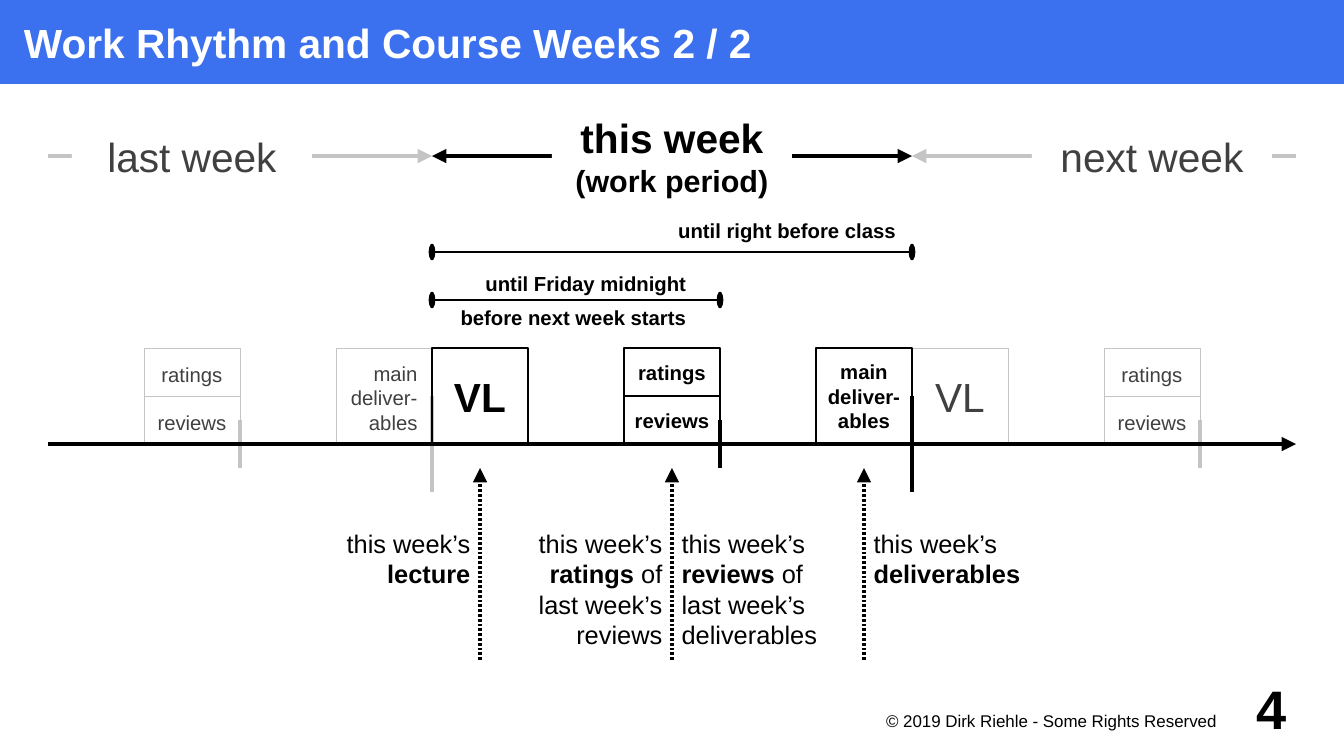
import dataclasses
import typing

import lxml.etree
import pptx
import pptx.dml.color
import pptx.enum.shapes
import pptx.enum.text
import pptx.oxml.ns
import pptx.util

Cm = pptx.util.Cm
Pt = pptx.util.Pt
COLORS = {"black": "000000", "gray": "C4C4C4", "text": "404040",
          "white": "FFFFFF", "blue": "3B70EE"}
ALIGN = {"l": pptx.enum.text.PP_ALIGN.LEFT,
         "c": pptx.enum.text.PP_ALIGN.CENTER,
         "r": pptx.enum.text.PP_ALIGN.RIGHT}
ANCHOR = {"t": pptx.enum.text.MSO_ANCHOR.TOP,
          "m": pptx.enum.text.MSO_ANCHOR.MIDDLE,
          "b": pptx.enum.text.MSO_ANCHOR.BOTTOM}
ENDS = {"triangle": {"type": "triangle"},
        "oval": {"type": "oval", "w": "lg", "len": "sm"}}
SIDES = ("left", "top", "right", "bottom")
PAD = (0.2, 0.2, 0.2, 0.2)
NOTE_PAD = (0.2, 0.75, 0.2, 0)
HAIR, THIN, THICK = 0.01, 0.05, 0.1
AXIS = 9.25
BOX_TOP = AXIS - 2
WEEK_Y = 3.25
START, END = 9, 19


class Run(typing.NamedTuple):
    text: str
    size: float = 12
    bold: bool = False
    color: str = "black"


@dataclasses.dataclass
class Box:
    """A box in centimetres, with one list of runs per paragraph."""
    left: float
    top: float
    width: float
    height: float
    paras: list[list[Run]]
    align: str = "c"
    anchor: str = "m"
    pad: tuple[float, ...] = PAD
    fill: str = ""
    line: str = ""
    weight: float = HAIR
    gap: float = 0


@dataclasses.dataclass
class Line:
    x1: float
    y1: float
    x2: float
    y2: float
    color: str = "black"
    weight: float = THICK
    head: str = ""
    tail: str = ""
    dotted: bool = False


def rgb(name: str) -> pptx.dml.color.RGBColor:
    return pptx.dml.color.RGBColor.from_string(COLORS[name])


def add_node(parent: typing.Any, tag: str, **values: str) -> typing.Any:
    return lxml.etree.SubElement(parent, pptx.oxml.ns.qn(tag), values)


def draw_line(slide: typing.Any, item: Line) -> None:
    ends = (Cm(v) for v in (item.x1, item.y1, item.x2, item.y2))
    link = slide.shapes.add_connector(
        pptx.enum.shapes.MSO_CONNECTOR.STRAIGHT, *ends)
    link.line.color.rgb = rgb(item.color)
    link.line.width = Cm(item.weight)
    stroke = link.line._get_or_add_ln()
    if item.dotted:
        dash = add_node(stroke, "a:custDash")
        add_node(dash, "a:ds", d="60000", sp="40000")
    for tag, kind in (("a:headEnd", item.head), ("a:tailEnd", item.tail)):
        if kind:
            add_node(stroke, tag, **ENDS[kind])
    add_node(link._element.spPr, "a:effectLst")


def draw_text(frame: typing.Any, item: Box) -> None:
    look = {"word_wrap": True, "vertical_anchor": ANCHOR[item.anchor]}
    look |= {f"margin_{side}": Cm(v) for side, v in zip(SIDES, item.pad)}
    for name, value in look.items():
        setattr(frame, name, value)
    for i, runs in enumerate(item.paras):
        para = frame.add_paragraph() if i else frame.paragraphs[0]
        para.alignment = ALIGN[item.align]
        para.space_before = para.space_after = Pt(item.gap)
        for part in runs:
            for row, text in enumerate(part.text.split("\n")):
                if row:
                    para.add_line_break()
                run = para.add_run()
                run.text = text
                form = {"name": "Arial", "size": Pt(part.size),
                        "bold": part.bold}
                for name, value in form.items():
                    setattr(run.font, name, value)
                run.font.color.rgb = rgb(part.color)


def draw_box(slide: typing.Any, item: Box) -> None:
    place = [Cm(v) for v in (item.left, item.top, item.width, item.height)]
    if not (item.fill or item.line):
        draw_text(slide.shapes.add_textbox(*place).text_frame, item)
        return
    shape = slide.shapes.add_shape(
        pptx.enum.shapes.MSO_SHAPE.RECTANGLE, *place)
    shape.shadow.inherit = False
    if item.fill:
        shape.fill.solid()
        shape.fill.fore_color.rgb = rgb(item.fill)
    else:
        shape.fill.background()
    if item.line:
        shape.line.color.rgb = rgb(item.line)
        shape.line.width = Cm(item.weight)
    else:
        shape.line.fill.background()
    draw_text(shape.text_frame, item)


def task(left: float, text: str, now: bool, row: int = 0, high: float = 1,
         size: float = 12, align: str = "c", anchor: str = "b",
         pad: tuple[float, ...] = PAD) -> Box:
    """A framed task above the axis, strong if it is due this week."""
    run = Run(text, size, now, "black" if now else "text")
    return Box(left, BOX_TOP + row, 2, high, [[run]], align,
               "m" if now else anchor, pad, line="black" if now else "gray",
               weight=THIN if now else HAIR)


def note(left: float, align: str, *paras: list[Run]) -> Box:
    return Box(left, 10.25, 3.5, 3.5, list(paras), align, "t", NOTE_PAD)


def week(left: float, *runs: Run) -> Box:
    return Box(left, 2.25, 5, 2, [[run] for run in runs], fill="white")


def tick(x: float, half: float, color: str) -> Line:
    return Line(x, AXIS - half, x, AXIS + half, color)


def span(y: float, end: float) -> Line:
    return Line(START, y, end, y, weight=THIN, head="oval", tail="oval")


TITLE = Run("Work Rhythm and Course Weeks 2 / 2", 24, True, "white")
THIS = Run("this week’s ", 15)
ITEMS: list[Line | Box] = [
    Box(0, 0, 28, 1.75, [[TITLE]], "l", pad=(0.5, 0, 0, 0), fill="blue"),
    tick(END, 1, "black"),
    tick(START, 1, "gray"),
    Line(START, WEEK_Y, END, WEEK_Y, head="triangle", tail="triangle"),
    Line(1, WEEK_Y, START, WEEK_Y, "gray", tail="triangle"),
    Line(27, WEEK_Y, END, WEEK_Y, "gray", tail="triangle"),
    week(11.5, Run("this week", 24, True), Run("(work period)", 18, True)),
    week(1.5, Run("last week", 24, color="text")),
    week(21.5, Run("next week", 24, color="text")),
    *(tick(x, 0.5, color)
      for x, color in ((5, "gray"), (15, "black"), (25, "gray"))),
    *(task(x, text, x == 13, row)
      for x in (3, 13, 23) for row, text in enumerate(("ratings", "reviews"))),
    task(START - 2, "main deliver-ables", False, high=2, align="r",
         pad=(0.2, 0.2, 0.3, 0.2)),
    task(END, "VL", False, high=2, size=24, anchor="m"),
    span(5.25, END),
    Box(13.9, 4.25, 5, 1, [[Run("until right before class", bold=True)]],
        anchor="b"),
    span(6.25, 15),
    Box(START, 5.25, 5.5, 2, [[Run("until Friday midnight", bold=True)],
                              [Run("before next week starts", bold=True)]],
        "r", gap=2.8),
    *(Line(x, 13.75, x, 9.75, tail="triangle", dotted=True)
      for x in (10, 14, 18)),
    note(6.5, "r", [Run("this week’s", 15)], [Run("lecture", 15, True)]),
    note(10.5, "r", [THIS, Run("ratings", 15, True),
                     Run(" of\nlast week’s reviews", 15)]),
    note(14, "l", [THIS, Run("reviews", 15, True),
                   Run(" of\nlast week’s deliverables", 15)]),
    note(18, "l", [THIS, Run("deliverables", 15, True)]),
    Line(1, AXIS, 27, AXIS, tail="triangle"),
    task(START, "VL", True, high=2, size=24),
    task(END - 2, "main deliver-ables", True, high=2),
    Box(18, 14.75, 8, 0.75,
        [[Run("© 2019 Dirk Riehle - Some Rights Reserved", 10)]],
        "c", "t", (0, 0.05, 0.2, 0)),
    Box(25.5, 14, 2, 1.5, [[Run("4", 32, True)]], pad=(0, 0, 0, 0)),
]


def main() -> None:
    deck = pptx.Presentation()
    deck.slide_width, deck.slide_height = Cm(28), Cm(15.75)
    slide = deck.slides.add_slide(deck.slide_layouts[6])
    for item in ITEMS:
        if isinstance(item, Line):
            draw_line(slide, item)
        else:
            draw_box(slide, item)
    deck.save("out.pptx")


if __name__ == "__main__":
    main()
